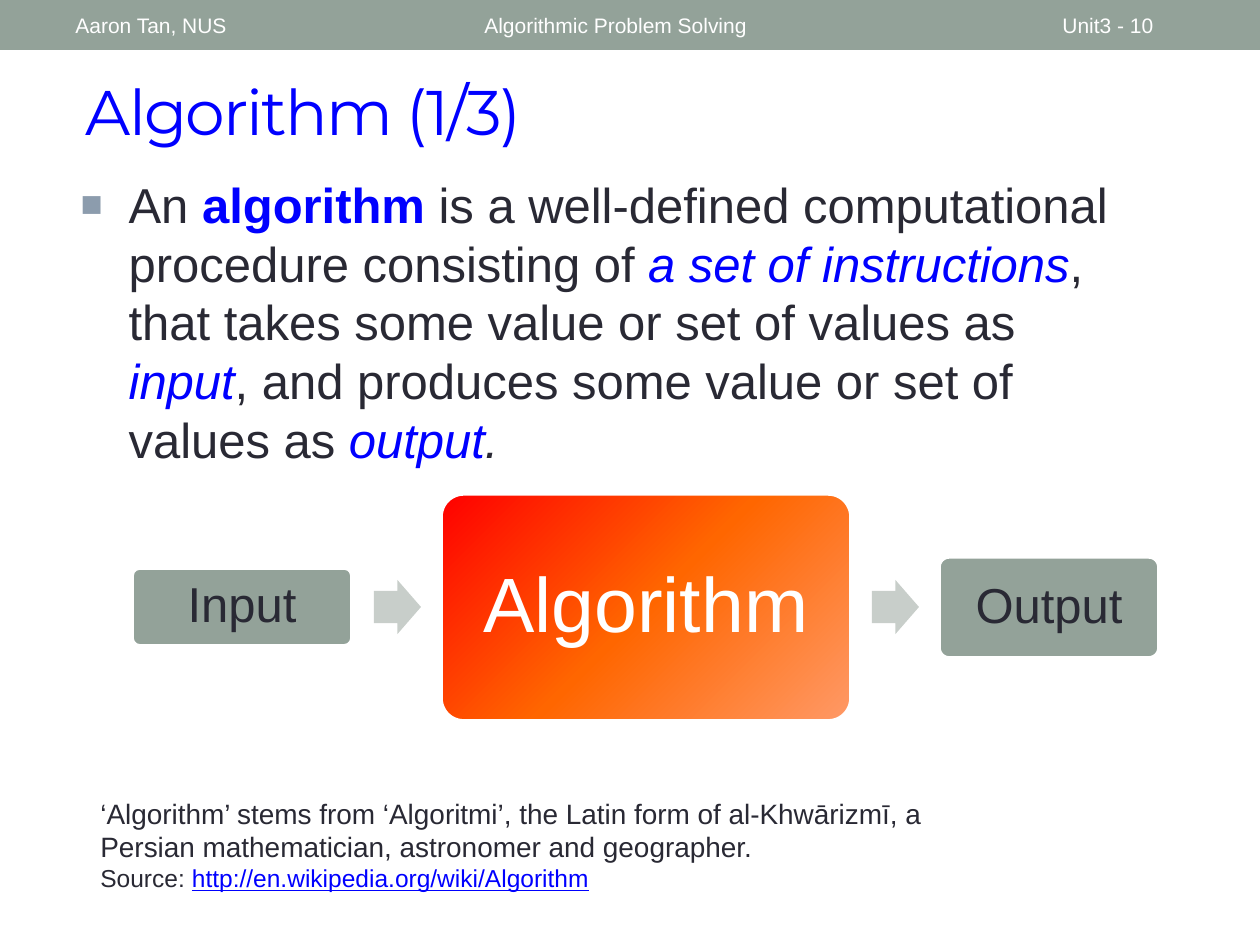
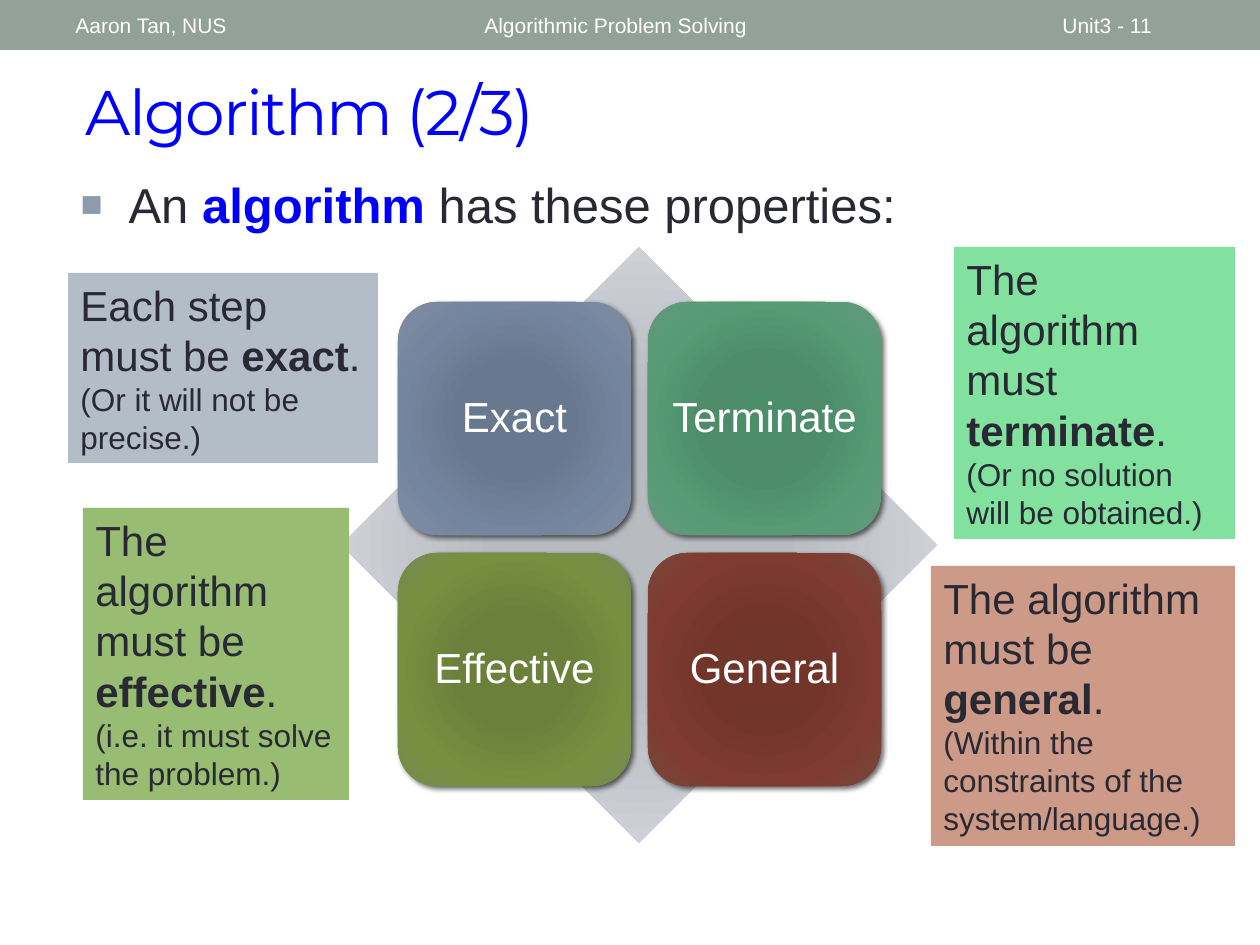
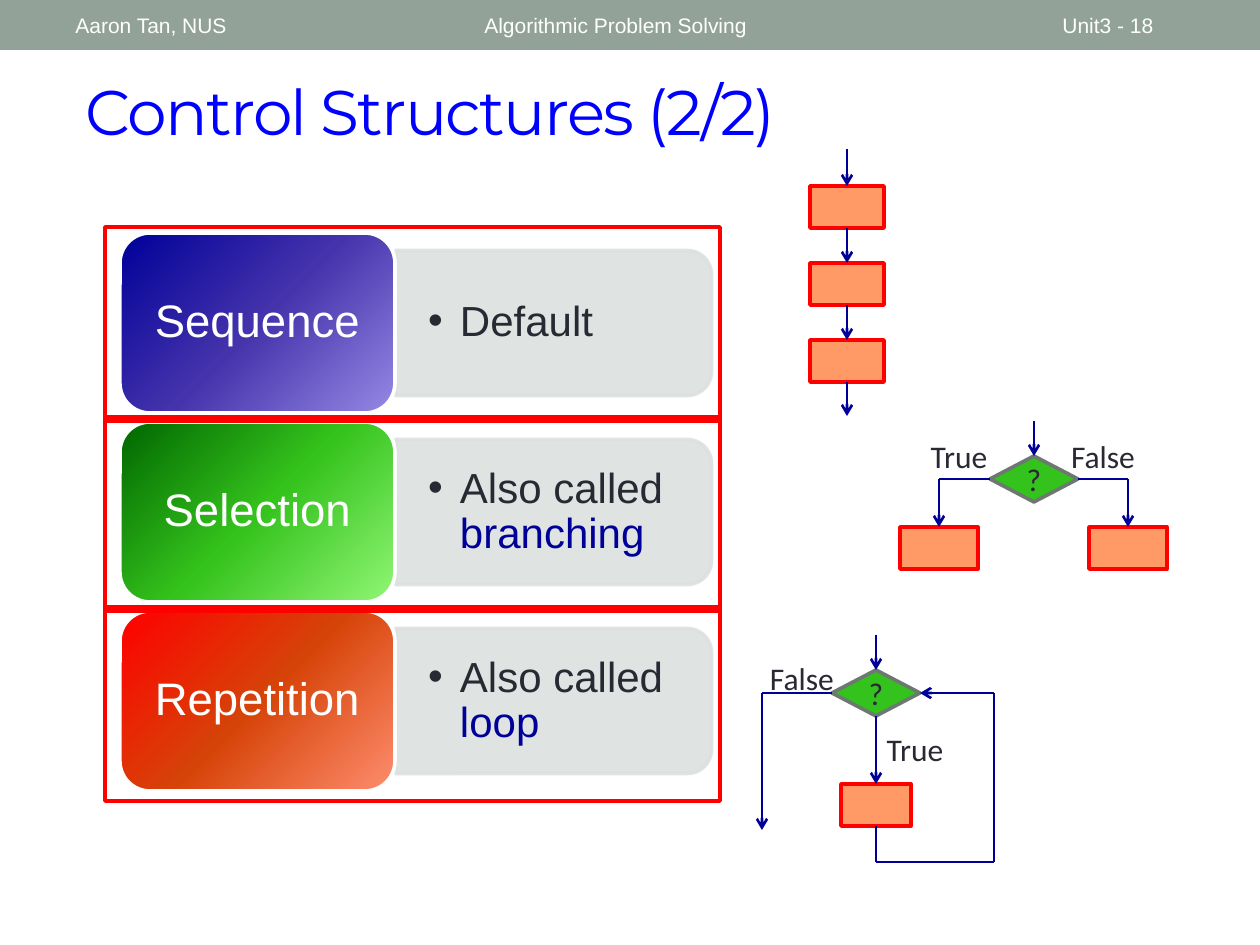
from lxml.etree import SubElement
from pptx import Presentation
from pptx.dml.color import RGBColor
from pptx.enum.shapes import MSO_CONNECTOR, MSO_SHAPE as SHAPE
from pptx.enum.text import MSO_ANCHOR as ANCHOR, MSO_AUTO_SIZE, PP_ALIGN as ALIGN
from pptx.oxml.ns import qn
from pptx.util import Emu, Pt

PX = 914400 / 126
ARIAL, CALIBRI, MONTSERRAT = "Arial", "Calibri", "Montserrat"
INK, WHITE, BLUE, NAVY = "292934", "FFFFFF", "0000FF", "000099"
SAGE, PALE_SAGE, PANEL_GREY = "93A299", "C8CECA", "DCE0DE"
RED, ORANGE, GREEN, GREY = "FF0000", "FF9966", "34C21C", "6D7871"
OUTLINE = 2.08
STRONG = {"bold": True}
KEYWORD = {"bold": True, "color": BLUE}
TERM = {"italic": True, "color": BLUE}
SQUARE = ("■", "8C9CAD", 75, 48)
DOT = ("•", INK, 100, 32)


def px(n):
    return Emu(round(n * PX))


def rgb(color):
    return RGBColor.from_string(color)


def add_xml(parent, tag, **attrs):
    return SubElement(parent, qn(tag), {k: str(v) for k, v in attrs.items()})


def add_bullet(p, char, color, percent, indent):
    pPr = p._p.get_or_add_pPr()
    pPr.set("marL", str(px(indent)))
    pPr.set("indent", str(-px(indent)))
    add_xml(add_xml(pPr, "a:buClr"), "a:srgbClr", val=color)
    add_xml(pPr, "a:buSzPct", val=percent * 1000)
    add_xml(pPr, "a:buFont", typeface=ARIAL)
    add_xml(pPr, "a:buChar", char=char)


def write(tf, paras, size, color=INK, font=ARIAL, align=ALIGN.LEFT,
          anchor=ANCHOR.TOP, bullet=None, spacing=None):
    """Fill a frame; each paragraph is a list of strings or (string, style) runs."""
    tf.word_wrap = True
    tf.auto_size = MSO_AUTO_SIZE.NONE
    tf.vertical_anchor = anchor
    for i, runs in enumerate(paras):
        p = tf.add_paragraph() if i else tf.paragraphs[0]
        if bullet:
            add_bullet(p, *bullet)
        p.alignment = align
        p.space_before = Pt(0)
        if spacing:
            p.line_spacing = spacing
        p.font.name, p.font.size = font, Pt(size)
        p.font.color.rgb = rgb(color)
        for run in runs:
            text, style = (run, {}) if isinstance(run, str) else run
            r = p.add_run()
            r.text = text
            for key, value in style.items():
                if key == "color":
                    r.font.color.rgb = rgb(value)
                else:
                    setattr(r.font, key, value)


def set_insets(tf, x, y):
    tf.margin_left = tf.margin_right = px(x)
    tf.margin_top = tf.margin_bottom = px(y)


def add_text(slide, box, paras, size, **style):
    sp = slide.shapes.add_textbox(*map(px, box))
    write(sp.text_frame, paras, size, **style)
    return sp


def add_box(slide, kind, box, fill=None, line=None, adj=()):
    sp = slide.shapes.add_shape(kind, *map(px, box))
    sp.shadow.inherit = False
    for i, value in enumerate(adj):
        sp.adjustments[i] = value
    if fill:
        sp.fill.solid()
        sp.fill.fore_color.rgb = rgb(fill)
    else:
        sp.fill.background()
    if line:
        sp.line.color.rgb = rgb(line)
        sp.line.width = Pt(OUTLINE)
    else:
        sp.line.fill.background()
    return sp


def set_gradient(sp, stops, radial=False):
    """Give a diagonal fill, or one that spreads from the centre."""
    sp.fill.gradient()
    grad = sp._element.spPr.find(qn("a:gradFill"))
    for child in list(grad):
        grad.remove(child)
    gs_list = add_xml(grad, "a:gsLst")
    for pos, color in stops:
        gs = add_xml(gs_list, "a:gs", pos=pos * 1000)
        add_xml(gs, "a:srgbClr", val=color)
    if radial:
        way = add_xml(grad, "a:path", path="circle")
        add_xml(way, "a:fillToRect", l=100000, t=100000, r=100000, b=100000)
    else:
        add_xml(grad, "a:lin", ang=2700000, scaled=0)


def set_shadow(sp):
    effects = sp._element.spPr.find(qn("a:effectLst"))
    shadow = add_xml(effects, "a:outerShdw", blurRad=Pt(3), dist=Pt(2),
                     dir=2700000, algn="tl", rotWithShape=0)
    add_xml(add_xml(shadow, "a:srgbClr", val="000000"), "a:alpha", val=60000)


def set_opacity(sp, percent):
    """Apply to both fill and outline."""
    for clr in sp._element.spPr.iter(qn("a:srgbClr")):
        add_xml(clr, "a:alpha", val=percent * 1000)


def add_caption(sp, text, size, color=WHITE, font=ARIAL, spacing=0.9):
    set_insets(sp.text_frame, 0, 0)
    write(sp.text_frame, [[text]], size, color=color, font=font,
          align=ALIGN.CENTER, anchor=ANCHOR.MIDDLE, spacing=spacing)


def add_line(slide, start, end, arrow=False):
    """Join two ends, each an (x, y) point or a (shape, side) pair."""
    cxn = slide.shapes.add_connector(MSO_CONNECTOR.STRAIGHT, 0, 0, 0, 0)
    if isinstance(start[0], int):
        cxn.begin_x, cxn.begin_y = map(px, start)
    else:
        cxn.begin_connect(*start)
    if isinstance(end[0], int):
        cxn.end_x, cxn.end_y = map(px, end)
    else:
        cxn.end_connect(*end)
    cxn.line.color.rgb = rgb(NAVY)
    cxn.line.width = Pt(1.5)
    if arrow:
        add_xml(cxn.line._get_or_add_ln(), "a:tailEnd", type="arrow")
    add_xml(cxn._element.spPr, "a:effectLst")


def add_slide(prs, layout, title, number):
    slide = prs.slides.add_slide(prs.slide_layouts[layout])
    add_box(slide, SHAPE.RECTANGLE, (0, 0, 1260, 50), SAGE)
    for x, w, text in ((63, 400, "Aaron Tan, NUS"),
                       (472, 567, "Algorithmic Problem Solving"),
                       (1050, 147, f"Unit3 - {number}")):
        add_text(slide, (x, 2, w, 46), [[text]], 12, color=WHITE,
                 anchor=ANCHOR.MIDDLE)
    place(slide.shapes.title, (73, 63, 1124, 95))
    tf = slide.shapes.title.text_frame
    write(tf, [[title]], 36, color=BLUE, font=MONTSERRAT, anchor=ANCHOR.MIDDLE)
    tf.paragraphs[0].runs[0]._r.get_or_add_rPr().set("spc", "-100")
    return slide


def place(sp, box):
    sp.left, sp.top, sp.width, sp.height = map(px, box)


def add_body(slide, height, runs):
    body = slide.placeholders[1]
    place(body, (68, 168, 1087, height))
    write(body.text_frame, [runs], 28, bullet=SQUARE)


def build_definition(prs):
    slide = add_slide(prs, 1, "Algorithm (1/3)", 10)
    add_body(slide, 336, [
        "An ", ("algorithm", KEYWORD),
        " is a well-defined computational procedure consisting of ",
        ("a set of instructions", TERM),
        ", that takes some value or set of values as ", ("input", TERM),
        ", and produces some value or set of values as ", ("output", TERM),
        (".", {"italic": True})])

    middle = 607
    for x, w, h, text, size, color in (
            (132, 220, 78, "Input", 28, INK),
            (441, 410, 227, "Algorithm", 44, WHITE),
            (939, 220, 101, "Output", 28, INK)):
        step = add_box(slide, SHAPE.ROUNDED_RECTANGLE,
                       (x, middle - h // 2, w, h), SAGE, WHITE, adj=[0.1])
        if text == "Algorithm":
            set_gradient(step, [(0, RED), (50, "FF6600"), (100, ORANGE)])
        add_caption(step, text, size, color)
    for x in (374, 872):
        add_box(slide, SHAPE.RIGHT_ARROW, (x, middle - 27, 47, 54), PALE_SAGE,
                adj=[0.6, 0.5])

    small = {"size": Pt(14)}
    add_text(slide, (88, 790, 859, 111), [
        ["‘Algorithm’ stems from ‘Algoritmi’, the Latin form of "
         "al-Khwārizmī, a Persian mathematician, astronomer and geographer."],
        [("Source: ", small),
         ("http://en.wikipedia.org/wiki/Algorithm",
          {**small, "color": BLUE, "underline": True})]], 16)


def build_properties(prs):
    slide = add_slide(prs, 1, "Algorithm (2/3)", 11)
    add_body(slide, 101, ["An ", ("algorithm ", KEYWORD),
                          "has these properties:"])
    stops = (0, 34, 70, 100)
    diamond = add_box(slide, SHAPE.DIAMOND, (341, 247, 596, 596))
    set_gradient(diamond, zip(stops, ("B7BBC1", "B8BBC0", "CDD1D7", "D8DBDF")),
                 radial=True)
    tiles = (("Exact", ("677790", "68788E", "74869F", "808DA0")),
             ("Terminate", ("4B8E69", "4D8B69", "569B75", "64987C")),
             ("Effective", ("6C8238", "6B803A", "788F41", "788A50")),
             ("General", ("743327", "72352A", "7F3B2F", "79463D")))
    for i, (text, colors) in enumerate(tiles):
        row, col = divmod(i, 2)
        tile = add_box(slide, SHAPE.ROUNDED_RECTANGLE,
                       (398 + 250 * col, 302 + 251 * row, 233, 233))
        set_gradient(tile, zip(stops, colors), radial=True)
        set_shadow(tile)
        add_caption(tile, text, 24)

    small = {"size": Pt(18)}
    notes = (
        ((68, 273, 310, 190), "B3BDC8",
         [["Each step must be ", ("exact", STRONG), ". ",
           ("(Or it will not be precise.)", small)]]),
        ((954, 247, 281, 292), "83E1A0",
         [["The algorithm must ", ("terminate", STRONG), "."],
          [("(Or no solution will be obtained.)", small)]]),
        ((83, 508, 266, 292), "97BC72",
         [["The algorithm must be ", ("effective", STRONG), "."],
          [("(i.e. it must solve the problem.)", small)]]),
        ((931, 566, 304, 280), "CC9A86",
         [["The algorithm must be ", ("general", STRONG), "."],
          [("(Within the constraints of the system/language.)", small)]]))
    for box, fill, paras in notes:
        note = add_box(slide, SHAPE.RECTANGLE, box, fill)
        write(note.text_frame, paras, 24)


def add_action(slide, x, y, w):
    return add_box(slide, SHAPE.RECTANGLE, (x, y, w, 42), ORANGE, RED)


def add_decision(slide, x, y):
    """Draw the question with the arrow that enters it."""
    test = add_box(slide, SHAPE.FLOWCHART_DECISION, (x, y, 88, 46), GREEN, GREY)
    add_caption(test, "?", 18, INK, CALIBRI, spacing=1.0)
    add_line(slide, (x + 44, y - 35), (test, 0), arrow=True)
    return test


def add_branch_label(slide, x, y, text):
    label = add_text(slide, (x, y, 90, 50), [[text]], 18, font=CALIBRI,
                     align=ALIGN.CENTER)
    label.text_frame.word_wrap = False


def add_sequence_flow(slide):
    start = (847, 149)
    for i in range(3):
        action = add_action(slide, 810, 186 + 77 * i, 74)
        add_line(slide, start, (action, 0), arrow=True)
        start = (action, 2)
    add_line(slide, start, (847, 416), arrow=True)


def add_selection_flow(slide):
    test = add_decision(slide, 990, 456)
    for x, side in ((900, 1), (1089, 3)):
        corner = (x + 39, 479)
        action = add_action(slide, x, 527, 78)
        add_line(slide, (test, side), corner)
        add_line(slide, corner, (action, 0), arrow=True)
    add_branch_label(slide, 914, 431, "True")
    add_branch_label(slide, 1058, 431, "False")


def add_repetition_flow(slide):
    test = add_decision(slide, 832, 670)
    action = add_action(slide, 841, 784, 70)
    add_line(slide, (test, 2), (action, 0), arrow=True)
    back = [(action, 2), (876, 862), (994, 862), (994, 693), (test, 3)]
    leave = [(test, 1), (762, 693), (762, 830)]
    for route in (back, leave):
        for start, end in zip(route, route[1:]):
            add_line(slide, start, end, arrow=end is route[-1])
    add_branch_label(slide, 870, 724, "True")
    add_branch_label(slide, 757, 653, "False")


def build_control_structures(prs):
    slide = add_slide(prs, 5, "Control Structures (2/2)", 18)
    term = {"color": NAVY}
    rows = (("Sequence", (NAVY, "4433AB", "9588E4"), ["Default"]),
            ("Selection", ("006600", GREEN, "91F676"),
             ["Also called ", ("branching", term)]),
            ("Repetition", (RED, "D64308", "FE8D6E"),
             ["Also called ", ("loop", term)]))
    for i, (name, colors, runs) in enumerate(rows):
        dy = 189 * i
        panel = add_box(slide, SHAPE.ROUND_2_SAME_RECTANGLE,
                        (481, 165 + dy, 145, 316), PANEL_GREY, PANEL_GREY)
        panel.rotation = 90
        set_opacity(panel, 90)
        detail = add_text(slide, (394, 258 + dy, 310, 130), [runs], 24,
                          anchor=ANCHOR.MIDDLE, bullet=DOT, spacing=0.9)
        set_insets(detail.text_frame, 34, 18)
        tile = add_box(slide, SHAPE.ROUNDED_RECTANGLE,
                       (120, 233 + dy, 275, 180), line=WHITE)
        set_gradient(tile, zip((0, 50, 100), colors))
        add_caption(tile, name, 26)
    add_selection_flow(slide)
    add_repetition_flow(slide)
    add_sequence_flow(slide)
    for i in range(len(rows)):
        add_box(slide, SHAPE.RECTANGLE, (105, 227 + 190 * i, 615, 194), line=RED)


def main():
    prs = Presentation()
    prs.slide_width, prs.slide_height = px(1260), px(945)
    build_definition(prs)
    build_properties(prs)
    build_control_structures(prs)
    prs.save("out.pptx")


if __name__ == "__main__":
    main()
